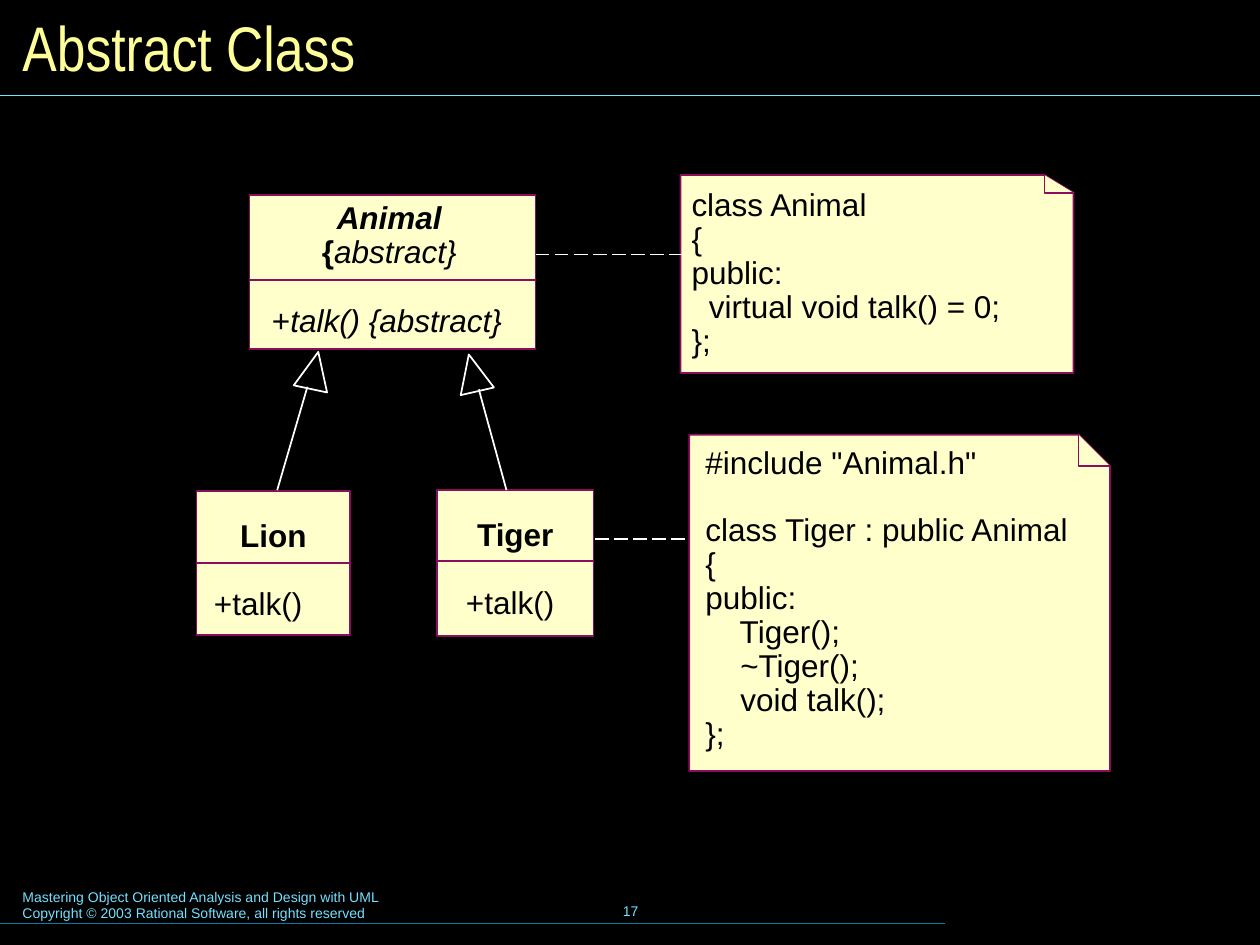
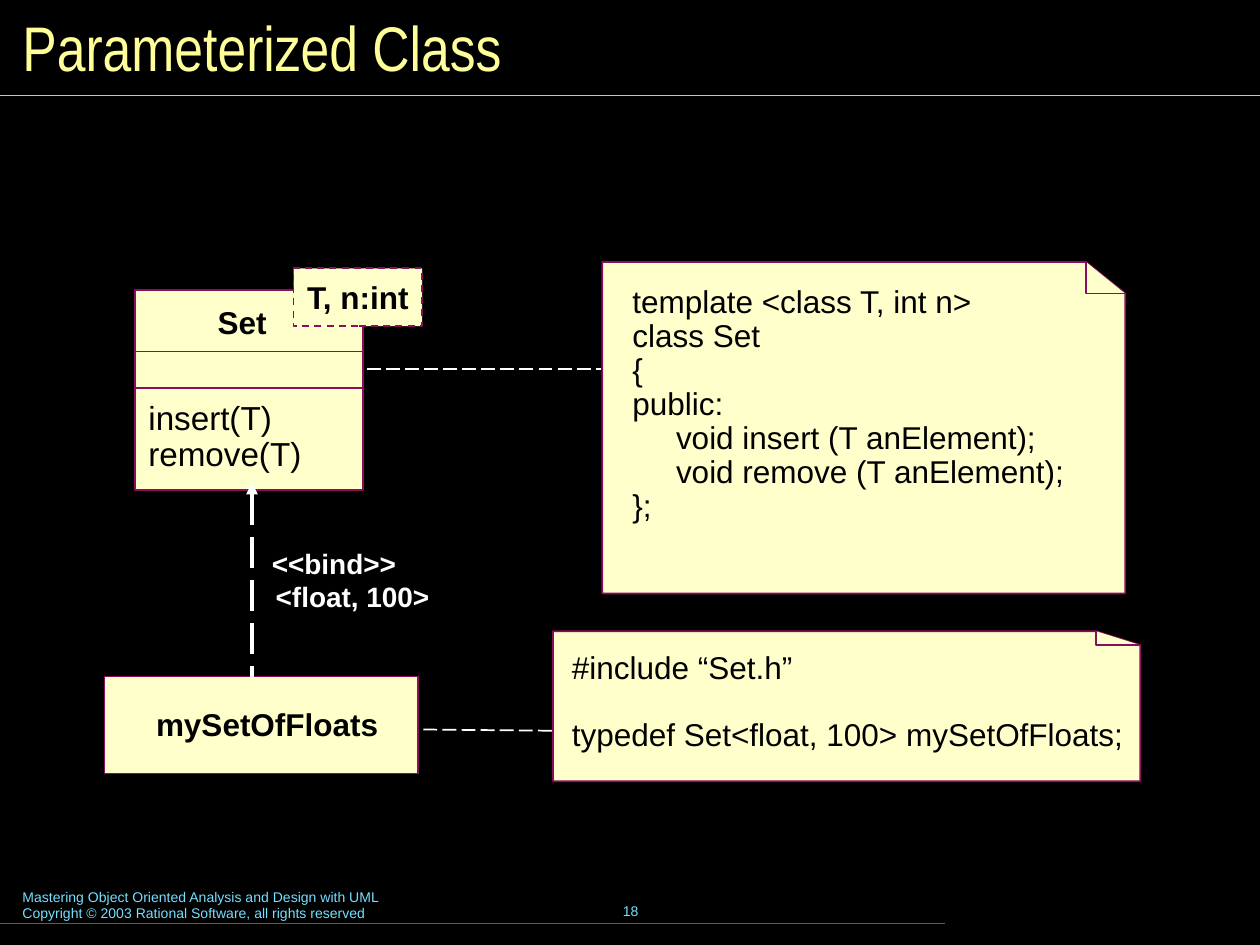
"""Two UML slides on abstract and parameterized classes, laid out on a 100 by 75 grid."""
from dataclasses import dataclass
from typing import NamedTuple

from lxml.etree import SubElement
from pptx import Presentation
from pptx.dml.color import RGBColor
from pptx.enum.dml import MSO_LINE_DASH_STYLE as Dash
from pptx.enum.shapes import MSO_CONNECTOR as Conn, MSO_SHAPE as Kind
from pptx.enum.text import MSO_ANCHOR as Anchor, PP_ALIGN as Align
from pptx.oxml.ns import qn
from pptx.util import Emu, Inches, Pt

BLACK = RGBColor(0x00, 0x00, 0x00)
WHITE = RGBColor(0xFF, 0xFF, 0xFF)
CREAM = RGBColor(0xFF, 0xFF, 0xCC)
PLUM = RGBColor(0x8A, 0x0E, 0x5E)
SKY = RGBColor(0x73, 0xE1, 0xFF)
TEAL = RGBColor(0x00, 0x7E, 0x9F)
LEMON = RGBColor(0xFF, 0xFF, 0x99)

WIDE, HIGH = Inches(10), Inches(7.5)
CELL = WIDE // 100


class Area(NamedTuple):
    x: float
    y: float
    w: float
    h: float


class Bit(NamedTuple):
    text: str
    bold: bool = False
    slant: bool = False


@dataclass
class Note:
    area: Area
    fold: tuple[float, float]


@dataclass
class Box:
    area: Area
    dash: Dash | None = None


@dataclass
class Tip:
    area: Area
    turn: float


@dataclass
class Link:
    start: tuple[float, float]
    end: tuple[float, float]
    color: RGBColor = WHITE
    width: float = 1
    dash: Dash | None = None
    head: bool = False


@dataclass
class Label:
    area: Area
    lines: list[list[Bit]]
    size: float = 18
    color: RGBColor = BLACK
    font: str = "Arial"
    align: Align = Align.LEFT
    anchor: Anchor = Anchor.TOP
    pitch: float = 0.9


Item = Note | Box | Tip | Link | Label


def grid(*cells: float) -> list[Emu]:
    return [Emu(round(c * CELL)) for c in cells]


def plain(text: str, bold: bool = False) -> list[list[Bit]]:
    return [[Bit(line, bold)] for line in text.split("\n")]


def rule(x: float, y: float, w: float) -> Link:
    return Link((x, y), (x + w, y), PLUM)


def dashed(x: float, y: float, w: float, drop: float = 0) -> Link:
    return Link((x, y), (x + w, y + drop), dash=Dash.LONG_DASH)


def paint(shape, fill: RGBColor | None, line: RGBColor) -> None:
    shape.shadow.inherit = False
    if fill is None:
        shape.fill.background()
    else:
        shape.fill.solid()
        shape.fill.fore_color.rgb = fill
    shape.line.color.rgb = line
    shape.line.width = Pt(1)


def outline(slide, points: list[tuple[float, float]], close: bool) -> None:
    first, *rest = [tuple(grid(*p)) for p in points]
    form = slide.shapes.build_freeform(*first, scale=1.0)
    form.add_line_segments(rest, close=close)
    paint(form.convert_to_shape(), CREAM, PLUM)


def draw_note(slide, note: Note) -> None:
    x, y, w, h = note.area
    right, base = x + w, y + h
    inner, crease = right - note.fold[0], y + note.fold[1]
    outline(slide, [(right, base), (x, base), (x, y), (inner, y), (right, crease)], True)
    outline(slide, [(right, crease), (inner, crease), (inner, y)], False)


def draw_box(slide, box: Box) -> None:
    shape = slide.shapes.add_shape(Kind.RECTANGLE, *grid(*box.area))
    paint(shape, CREAM, PLUM)
    if box.dash:
        shape.line.dash_style = box.dash


def draw_tip(slide, tip: Tip) -> None:
    shape = slide.shapes.add_shape(Kind.ISOSCELES_TRIANGLE, *grid(*tip.area))
    paint(shape, None, WHITE)
    shape.rotation = tip.turn


def draw_link(slide, link: Link) -> None:
    line = slide.shapes.add_connector(Conn.STRAIGHT, *grid(*link.start, *link.end))
    line.line.color.rgb = link.color
    line.line.width = Pt(link.width)
    if link.dash:
        line.line.dash_style = link.dash
    props = line._element.spPr
    if link.head:
        SubElement(props.find(qn("a:ln")), qn("a:headEnd"), type="triangle")
    SubElement(props, qn("a:effectLst"))


def draw_label(slide, label: Label) -> None:
    frame = slide.shapes.add_textbox(*grid(*label.area)).text_frame
    frame.word_wrap = True
    frame.vertical_anchor = label.anchor
    para, gap = None, 0
    for bits in label.lines:
        if not bits[0].text:
            gap += label.size * label.pitch * 1.15
            continue
        para = frame.add_paragraph() if para else frame.paragraphs[0]
        para.text = bits[0].text
        for bit in bits[1:]:
            para.add_run().text = bit.text
        para.alignment = label.align
        para.line_spacing = label.pitch
        para.space_before, gap = Pt(gap), 0
        for bit, run in zip(bits, para.runs):
            font = run.font
            font.name, font.size = label.font, Pt(label.size)
            font.bold, font.italic = bit.bold, bit.slant
            font.color.rgb = label.color


DRAW = {Note: draw_note, Box: draw_box, Tip: draw_tip, Link: draw_link, Label: draw_label}

FOOT = """Mastering Object Oriented Analysis and Design with UML
Copyright © 2003 Rational Software, all rights reserved"""


def frame_items(title: str, page: int) -> list[Item]:
    return [
        Label(Area(0.8, 70, 51, 3.7), plain(FOOT), 8, SKY, pitch=1),
        Label(Area(34.2, 69.8, 31.7, 5), plain(str(page)), 8, SKY,
              align=Align.CENTER, anchor=Anchor.MIDDLE, pitch=1),
        Link((0, 73.3), (75, 73.3), TEAL, 0.75),
        Link((0, 7.6), (100, 7.6), SKY, 0.75),
        Label(Area(0.8, 0.8, 98.4, 5.8), plain(title), 36, LEMON, "Arial Narrow",
              anchor=Anchor.MIDDLE, pitch=1),
    ]


def child(area: Area, split: float, talk: float, name: str) -> list[Item]:
    x, y, w, _ = area
    return [
        Box(area),
        rule(x, split, w),
        Label(Area(x, y + 1.8, w, 3.6), plain(name, True), align=Align.CENTER),
        Label(Area(talk, y + 7.2, 11, 3.6), plain("+talk()")),
    ]


ANIMAL = """class Animal
{
public:
  virtual void talk() = 0;
};"""

TIGER = """#include "Animal.h"

class Tiger : public Animal
{
public:
    Tiger();
    ~Tiger();
    void talk();
};"""

SET = """template <class T, int n>
class Set
{
public:
     void insert (T anElement);
     void remove (T anElement);
};"""

FLOATS = """#include “Set.h”

typedef Set<float, 100> mySetOfFloats;"""

ABSTRACT: list[Item] = [
    Note(Area(54, 13.9, 31.2, 15.7), (2.3, 1.4)),
    Note(Area(54.7, 34.5, 33.4, 26.7), (2.5, 2.5)),
    Box(Area(19.8, 15.5, 22.7, 12.2)),
    rule(19.8, 22.2, 22.7),
    Label(Area(21.6, 15.6, 18.6, 6.3),
          [[Bit("Animal", True, True)], [Bit("{", True), Bit("abstract}", slant=True)]],
          align=Align.CENTER),
    Label(Area(20.6, 23.7, 22, 3.6), [[Bit("+"), Bit("talk() {abstract}", slant=True)]]),
    *child(Area(15.6, 39, 12.2, 11.4), 44.7, 16, "Lion"),
    *child(Area(34.7, 38.9, 12.4, 11.6), 44.5, 36, "Tiger"),
    Tip(Area(23.6, 27.9, 2.7, 3), 12),
    Tip(Area(36.2, 28.1, 2.7, 3), 347),
    Link((22, 38.9), (24.4, 30.7)),
    Link((40.2, 38.9), (38, 30.9)),
    dashed(42.5, 20.2, 11.9),
    dashed(47.2, 42.8, 7.5),
    Label(Area(53.9, 14.5, 30, 14.4), plain(ANIMAL)),
    Label(Area(55, 35, 33, 25.2), plain(TIGER)),
]

GENERIC: list[Item] = [
    Note(Area(47.8, 20.8, 41.5, 26.3), (3.1, 2.5)),
    Note(Area(43.9, 50.1, 46.6, 11.9), (3.5, 1.1)),
    Box(Area(10.7, 23, 18.1, 15.9)),
    rule(10.7, 27.9, 18.1),
    rule(10.8, 30.8, 18.1),
    Box(Area(23.3, 21.3, 10.2, 4.6), Dash.DASH),
    Box(Area(8.3, 53.7, 24.9, 7.7)),
    dashed(29.1, 29.3, 18.6),
    dashed(33.6, 57.9, 10.8, 0.1),
    Link((20, 38.3), (20, 53.8), width=2.25, dash=Dash.LONG_DASH, head=True),
    Label(Area(16.3, 23.9, 7, 3.6), plain("Set", True)),
    Label(Area(23.4, 21.9, 12, 3.6), plain("T, n:int", True)),
    Label(Area(10.8, 31.4, 16, 6.7), plain("insert(T)\nremove(T)"), 19),
    Label(Area(20.6, 43.2, 14, 3.3), plain("<<bind>>", True), 16, WHITE),
    Label(Area(20.9, 45.8, 16, 3.4), plain("<float, 100>", True), 16, WHITE),
    Label(Area(11.4, 55.8, 21, 3.6), plain("mySetOfFloats", True)),
    Label(Area(49.2, 22.2, 39.5, 19.8), plain(SET)),
    Label(Area(44.4, 51.3, 47.5, 9), plain(FLOATS)),
]

DECK = [("Abstract Class", ABSTRACT), ("Parameterized Class", GENERIC)]


def main() -> None:
    deck = Presentation()
    deck.slide_width, deck.slide_height = WIDE, HIGH
    back = deck.slide_master.background.fill
    back.solid()
    back.fore_color.rgb = BLACK
    for page, (title, items) in enumerate(DECK, 17):
        slide = deck.slides.add_slide(deck.slide_layouts[6])
        for item in frame_items(title, page) + items:
            DRAW[type(item)](slide, item)
    deck.save("out.pptx")


if __name__ == "__main__":
    main()
